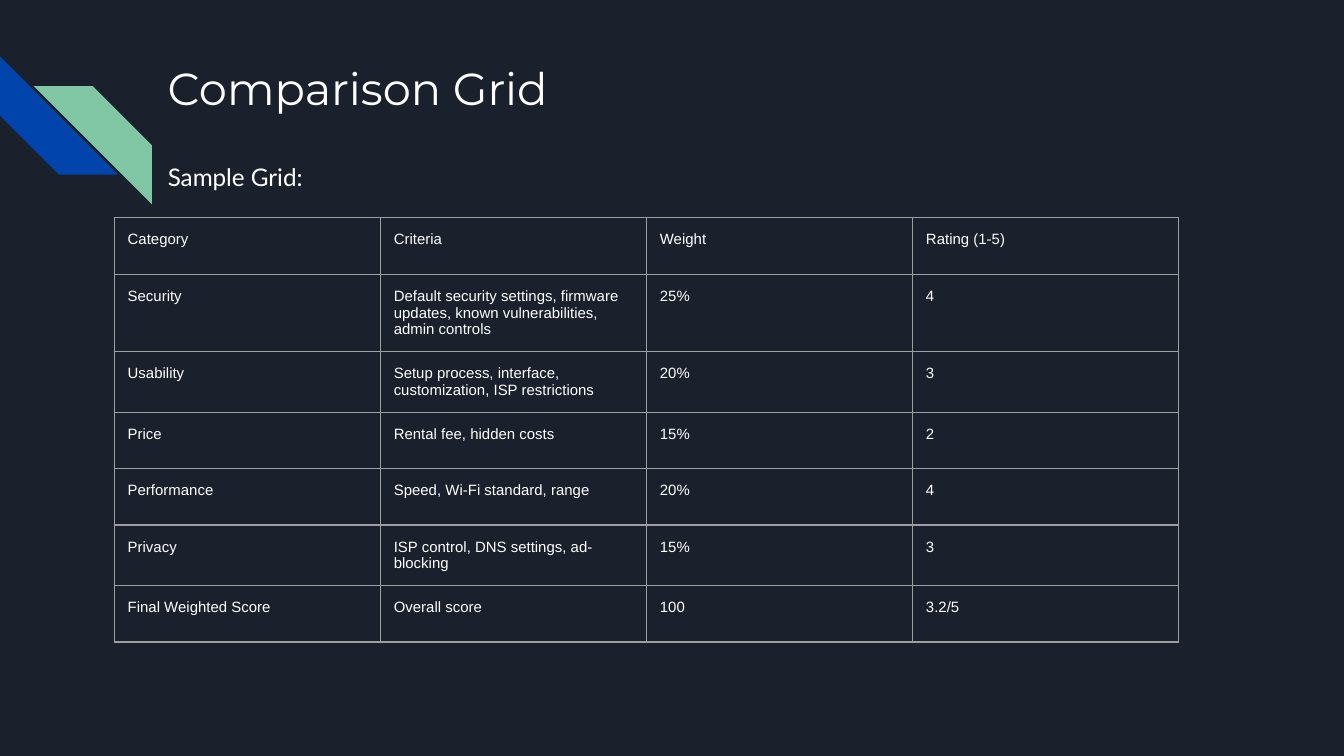
from typing import NamedTuple

from lxml.etree import SubElement
from pptx import Presentation
from pptx.dml.color import RGBColor
from pptx.enum.shapes import MSO_SHAPE as Shape
from pptx.enum.text import MSO_ANCHOR as Anchor
from pptx.oxml.ns import qn
from pptx.util import Inches, Pt

NAVY = RGBColor(0x1B, 0x21, 0x2C)
BLUE = RGBColor(0x01, 0x45, 0xAC)
GREEN = RGBColor(0x82, 0xC7, 0xA5)
WHITE = RGBColor(0xFF, 0xFF, 0xFF)
GRAY = RGBColor(0x9E, 0x9E, 0x9E)

INSET = Inches(0.1)
STRIPE_SIZE = 0.88
COL_WIDTH = 1.98
ROW_HEIGHT = 0.42


class Stripe(NamedTuple):
    left: float
    top: float
    rotation: int
    color: RGBColor


class Label(NamedTuple):
    text: str
    left: float
    top: float
    width: float
    height: float
    font: str
    size: float


class Row(NamedTuple):
    category: str
    criteria: str
    weight: str
    rating: str


STRIPES = [
    Stripe(0, 0.42, 270, BLUE),
    Stripe(0.25, 0.64, 90, GREEN),
]
LABELS = [
    Label("Comparison Grid", 1.15, 0.35, 7.7, 1, "Montserrat", 24),
    Label("Sample Grid:", 1.15, 1.11, 3.19, 0.42, "Lato", 13),
]
ROWS = [
    Row("Category", "Criteria", "Weight", "Rating (1-5)"),
    Row("Security", "Default security settings, firmware updates, "
        "known vulnerabilities, admin controls", "25%", "4"),
    Row("Usability", "Setup process, interface, customization, "
        "ISP restrictions", "20%", "3"),
    Row("Price", "Rental fee, hidden costs", "15%", "2"),
    Row("Performance", "Speed, Wi-Fi standard, range", "20%", "4"),
    Row("Privacy", "ISP control, DNS settings, ad-blocking", "15%", "3"),
    Row("Final Weighted Score", "Overall score", "100", "3.2/5"),
]


def write(tf, text: str, *, font: str, size: float, color: RGBColor = WHITE) -> None:
    tf.word_wrap = True
    r = tf.paragraphs[0].add_run()
    r.text = text
    r.font.name = font
    r.font.size = Pt(size)
    r.font.color.rgb = color


def set_insets(box) -> None:
    box.margin_left = box.margin_right = INSET
    box.margin_top = box.margin_bottom = INSET
    box.vertical_anchor = Anchor.TOP


def draw_stripe(slide, stripe: Stripe) -> None:
    sp = slide.shapes.add_shape(
        Shape.DIAGONAL_STRIPE, Inches(stripe.left), Inches(stripe.top),
        Inches(STRIPE_SIZE), Inches(STRIPE_SIZE))
    sp.adjustments[0] = 0.5
    sp.rotation = stripe.rotation
    sp.shadow.inherit = False
    sp.fill.solid()
    sp.fill.fore_color.rgb = stripe.color
    sp.line.fill.background()


def draw_label(slide, label: Label) -> None:
    sp = slide.shapes.add_textbox(
        Inches(label.left), Inches(label.top),
        Inches(label.width), Inches(label.height))
    set_insets(sp.text_frame)
    write(sp.text_frame, label.text, font=label.font, size=label.size)


def set_borders(cell, color: RGBColor, width: float) -> None:
    tc_pr = cell._tc.get_or_add_tcPr()
    for side in ("a:lnL", "a:lnR", "a:lnT", "a:lnB"):
        ln = SubElement(tc_pr, qn(side), w=str(Pt(width)))
        fill = SubElement(ln, qn("a:solidFill"))
        SubElement(fill, qn("a:srgbClr"), val=str(color))


def draw_grid(slide, rows: list[Row], left: float, top: float) -> None:
    n_cols = len(Row._fields)
    table = slide.shapes.add_table(
        len(rows), n_cols, Inches(left), Inches(top),
        Inches(COL_WIDTH * n_cols), Inches(ROW_HEIGHT * len(rows))).table
    table.first_row = table.horz_banding = False
    for col in table.columns:
        col.width = Inches(COL_WIDTH)
    for table_row, row in zip(table.rows, rows):
        table_row.height = Inches(ROW_HEIGHT)
        for cell, text in zip(table_row.cells, row):
            set_insets(cell)
            set_borders(cell, GRAY, 0.75)
            cell.fill.background()
            write(cell.text_frame, text, font="Arial", size=8)


def main() -> None:
    prs = Presentation()
    prs.slide_width = Inches(10)
    prs.slide_height = prs.slide_width * 9 // 16
    slide = prs.slides.add_slide(prs.slide_layouts[6])
    slide.background.fill.solid()
    slide.background.fill.fore_color.rgb = NAVY
    for stripe in STRIPES:
        draw_stripe(slide, stripe)
    draw_grid(slide, ROWS, 0.85, 1.62)
    for label in LABELS:
        draw_label(slide, label)
    prs.save("out.pptx")


if __name__ == "__main__":
    main()
